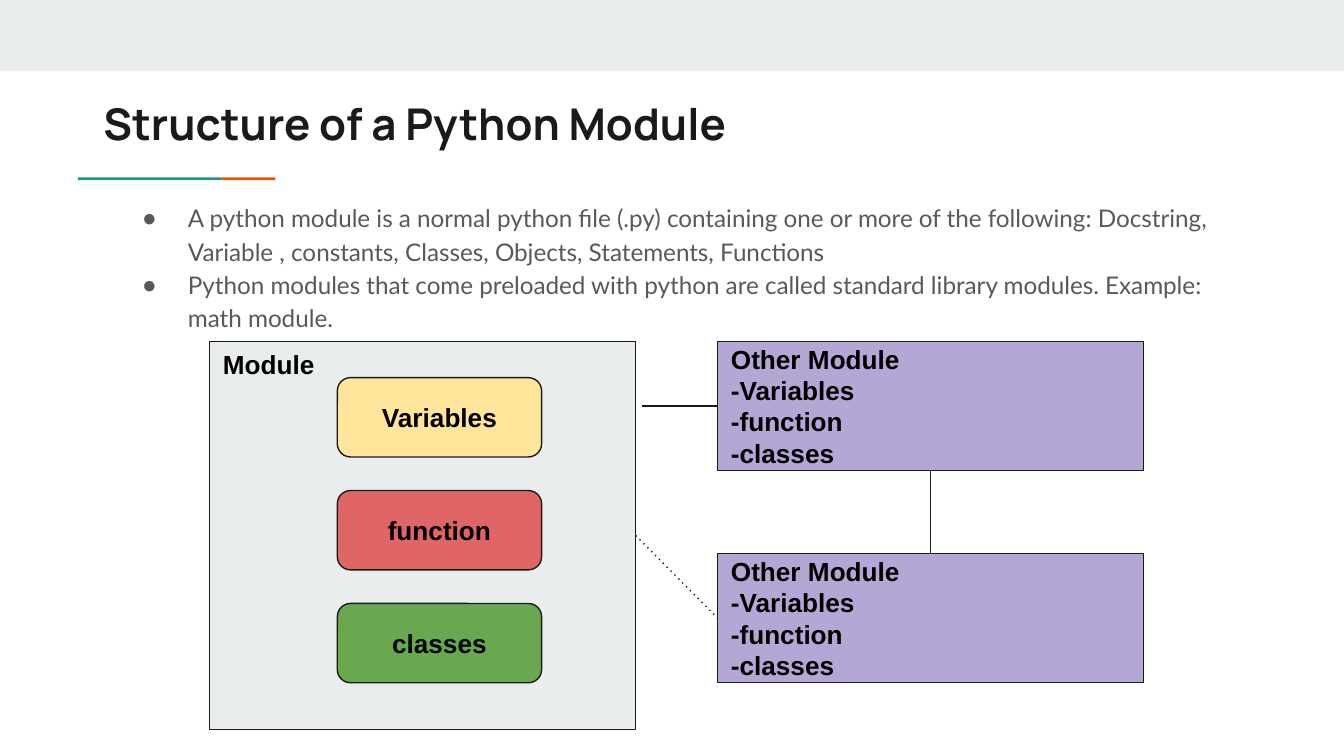
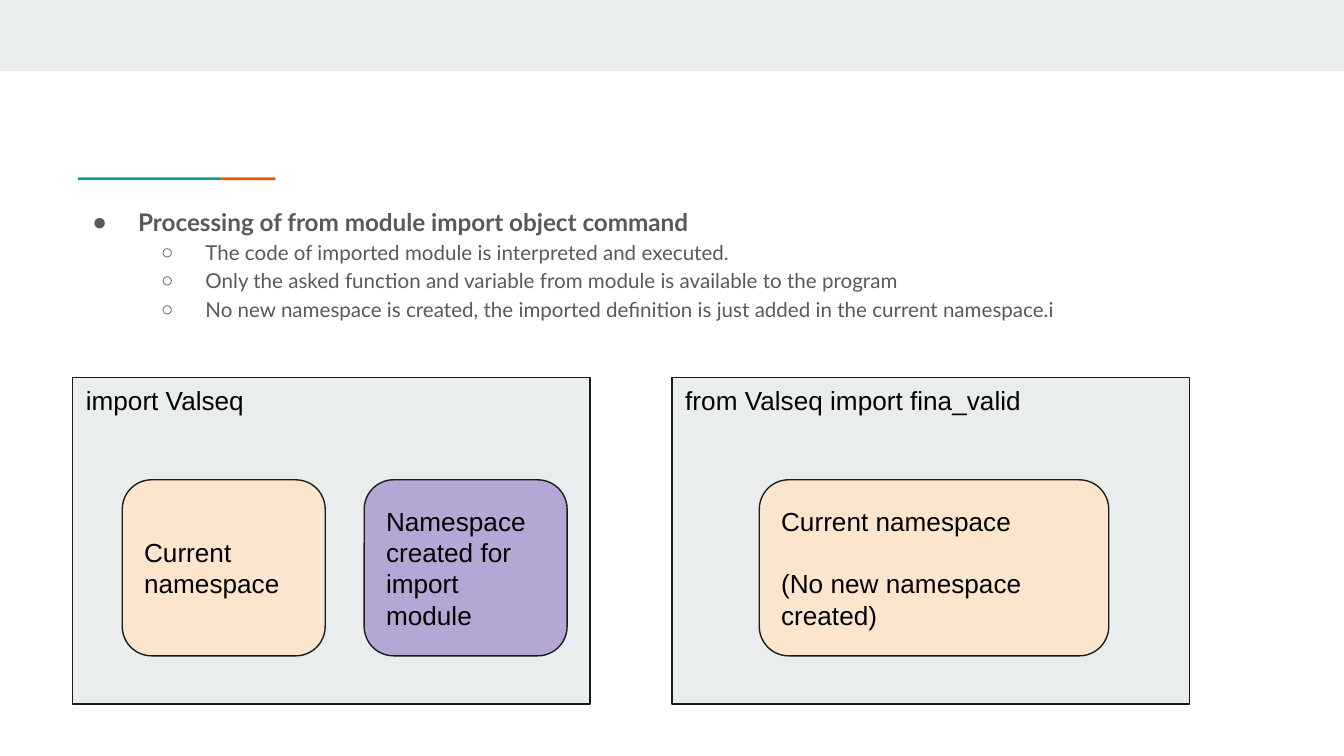
"""Build two slides on Python modules and namespaces."""
from lxml import etree
from pptx import Presentation
from pptx.dml.color import RGBColor
from pptx.enum.dml import MSO_LINE
from pptx.enum.shapes import MSO_CONNECTOR, MSO_SHAPE
from pptx.enum.text import MSO_ANCHOR, PP_ALIGN
from pptx.oxml.ns import qn
from pptx.util import Inches, Pt

RECTANGLE, ROUNDED = MSO_SHAPE.RECTANGLE, MSO_SHAPE.ROUNDED_RECTANGLE
STRAIGHT, DOTTED = MSO_CONNECTOR.STRAIGHT, MSO_LINE.ROUND_DOT
TOP, MIDDLE = MSO_ANCHOR.TOP, MSO_ANCHOR.MIDDLE
LEFT, CENTER = PP_ALIGN.LEFT, PP_ALIGN.CENTER
SIDE_TOP, SIDE_LEFT, SIDE_BOTTOM, SIDE_RIGHT = range(4)

WHITE = RGBColor(0xFF, 0xFF, 0xFF)
BLACK = RGBColor(0x00, 0x00, 0x00)
INK = RGBColor(0x1A, 0x1A, 0x1A)
GRAY = RGBColor(0x59, 0x59, 0x59)
PALE = RGBColor(0xE9, 0xED, 0xEE)
TEAL = RGBColor(0x1A, 0x99, 0x88)
ORANGE = RGBColor(0xEB, 0x56, 0x00)
YELLOW = RGBColor(0xFF, 0xE5, 0x99)
RED = RGBColor(0xE0, 0x66, 0x66)
GREEN = RGBColor(0x6A, 0xA8, 0x4F)
PURPLE = RGBColor(0xB4, 0xA7, 0xD6)
PEACH = RGBColor(0xFC, 0xE5, 0xCD)

WIDTH = 10
HEIGHT = WIDTH * 9 / 16
INSET = 0.1
PANEL_INSET = 0.05
BLANK_LINE = 16.8

TITLE_FORMAT = {"name": "Manrope", "size": Pt(23.4), "bold": True}
LABEL_FORMAT = {"name": "Arial", "size": Pt(14), "bold": False}
STRONG_LABEL = {**LABEL_FORMAT, "bold": True}
POINT = {"name": "Lato", "size": Pt(13), "bold": False}
HEAD_POINT = {**POINT, "bold": True}
SUB_POINT = {**POINT, "size": Pt(11)}
BULLET_FONT = "Arial"
BULLETS = [("●", 0.5, 0.34), ("○", 1, 0.33)]

STRUCTURE_TITLE = "Structure of a Python Module"
STRUCTURE_POINTS = [
    (0, "A python module is a normal python file (.py) containing one or more of the "
        "following: Docstring, Variable , constants, Classes, Objects, Statements, Functions", POINT),
    (0, "Python modules that come preloaded with python are called standard library "
        "modules. Example: math module.", POINT),
]
MODULE_PARTS = [("Variables", YELLOW), ("function", RED), ("classes", GREEN)]
OTHER_MODULE = ["Other Module", "-Variables", "-function", "-classes"]

IMPORT_POINTS = [
    (0, "Processing of from module import object command", HEAD_POINT),
    (1, "The code of imported module is interpreted and executed.", SUB_POINT),
    (1, "Only the asked function and variable from module is available to the program", SUB_POINT),
    (1, "No new namespace is created, the imported definition is just added in the "
        "current namespace.i", SUB_POINT),
]
IMPORT_PANELS = [
    ("import Valseq", [
        (0.37, 1.51, PEACH, ["Current namespace"]),
        (2.17, 1.51, PURPLE, ["Namespace created for import module"])]),
    ("from Valseq import fina_valid", [
        (0.65, 2.6, PEACH, ["Current namespace", "(No new namespace created)"])]),
]


def inches(*lengths):
    return [Inches(length) for length in lengths]


def set_font(paragraph, color, values):
    for run in paragraph.runs:
        for name, value in values.items():
            setattr(run.font, name, value)
        run.font.color.rgb = color


def set_frame(shape, anchor, vertical_inset=INSET):
    frame = shape.text_frame
    values = {"word_wrap": True, "vertical_anchor": anchor,
              "margin_left": Inches(INSET), "margin_right": Inches(INSET),
              "margin_top": Inches(vertical_inset), "margin_bottom": Inches(vertical_inset)}
    for name, value in values.items():
        setattr(frame, name, value)
    return frame


def write_lines(frame, lines, color, values, align=LEFT, gap=0):
    for index, line in enumerate(lines):
        paragraph = frame.add_paragraph() if index else frame.paragraphs[0]
        paragraph.text = line
        paragraph.alignment = align
        paragraph.space_before = Pt(gap if index else 0)
        set_font(paragraph, color, values)


def add_box(slide, kind, box, fill, outlined=True):
    shape = slide.shapes.add_shape(kind, *inches(*box))
    shape.shadow.inherit = False
    shape.fill.solid()
    shape.fill.fore_color.rgb = fill
    if outlined:
        shape.line.color.rgb = INK
        shape.line.width = Pt(0.75)
    else:
        shape.line.fill.background()
    return shape


def add_label_box(slide, kind, box, fill, lines, values, anchor=MIDDLE,
                  align=LEFT, vertical_inset=INSET, gap=0):
    shape = add_box(slide, kind, box, fill)
    write_lines(set_frame(shape, anchor, vertical_inset), lines, BLACK, values, align, gap)
    return shape


def add_title(slide, title):
    shape = slide.shapes.add_textbox(*inches(0.67, 0.62, 8.41, 0.59))
    write_lines(set_frame(shape, MIDDLE), [title], INK, TITLE_FORMAT)


def add_bullets(slide, box, points):
    frame = set_frame(slide.shapes.add_textbox(*inches(*box)), TOP)
    for index, (level, text, values) in enumerate(points):
        paragraph = frame.add_paragraph() if index else frame.paragraphs[0]
        paragraph.text = text
        paragraph.level = level
        paragraph.line_spacing = 1.15
        set_font(paragraph, GRAY, values)
        character, margin, hanging = BULLETS[level]
        properties = paragraph._p.get_or_add_pPr()
        properties.set("marL", str(Inches(margin)))
        properties.set("indent", str(-Inches(hanging)))
        bullet_color = etree.SubElement(properties, qn("a:buClr"))
        etree.SubElement(bullet_color, qn("a:srgbClr"), val=str(GRAY))
        etree.SubElement(properties, qn("a:buFont"), typeface=BULLET_FONT)
        etree.SubElement(properties, qn("a:buChar"), char=character)


def add_line(slide, start, end):
    line = slide.shapes.add_connector(STRAIGHT, *inches(*start, *end))
    line.line.color.rgb = INK
    line.line.width = Pt(0.75)
    etree.SubElement(line._element.spPr, qn("a:effectLst"))
    return line


def add_base(presentation):
    slide = presentation.slides.add_slide(presentation.slide_layouts[6])
    slide.background.fill.solid()
    slide.background.fill.fore_color.rgb = WHITE
    add_box(slide, RECTANGLE, (0, 0, WIDTH, 0.53), PALE, outlined=False)
    for left, width, color in [(0.58, 1.07, TEAL), (1.65, 0.4, ORANGE)]:
        add_box(slide, RECTANGLE, (left, 1.32, width, 0.02), color, outlined=False)
    return slide


def build_structure(presentation):
    slide = add_base(presentation)
    add_title(slide, STRUCTURE_TITLE)
    add_bullets(slide, (0.8, 1.38, 8.41, 4.05), STRUCTURE_POINTS)
    top, width, module_left, other_left = 2.54, 3.17, 1.56, 5.34
    other_height, other_step = 0.96, 1.58
    module = add_label_box(slide, RECTANGLE, (module_left, top, width, 2.89), PALE, ["Module"],
                           STRONG_LABEL, TOP, vertical_inset=PANEL_INSET)
    for row, (name, color) in enumerate(MODULE_PARTS):
        add_label_box(slide, ROUNDED, (2.51, 2.81 + row * 0.84, 1.52, 0.59), color, [name],
                      STRONG_LABEL, align=CENTER)
    upper, lower = [
        add_label_box(slide, RECTANGLE, (other_left, top + row * other_step, width, other_height),
                      PURPLE, OTHER_MODULE, STRONG_LABEL, vertical_inset=0)
        for row in range(2)]

    upper_middle = top + other_height / 2
    link = add_line(slide, (other_left, upper_middle), (4.78, upper_middle))
    link.begin_connect(upper, SIDE_LEFT)
    center = other_left + width / 2
    link = add_line(slide, (center, top + other_step), (center, top + other_height))
    link.begin_connect(lower, SIDE_TOP)
    link.end_connect(upper, SIDE_BOTTOM)
    link = add_line(slide, (module_left + width, 3.99), (other_left, upper_middle + other_step))
    link.begin_connect(module, SIDE_RIGHT)
    link.end_connect(lower, SIDE_LEFT)
    link.line.dash_style = DOTTED
    link._element.spPr.find(".//" + qn("a:prstDash")).set("val", "dot")


def build_import(presentation):
    slide = add_base(presentation)
    add_bullets(slide, (0.43, 1.41, 8.78, 3.98), IMPORT_POINTS)
    for column, (heading, namespaces) in enumerate(IMPORT_PANELS):
        left = 0.54 + column * 4.46
        add_label_box(slide, RECTANGLE, (left, 2.81, 3.85, 2.43), PALE, [heading],
                      LABEL_FORMAT, TOP, vertical_inset=PANEL_INSET)
        for offset, width, color, lines in namespaces:
            add_label_box(slide, ROUNDED, (left + offset, 3.57, width, 1.31), color, lines,
                          LABEL_FORMAT, gap=BLANK_LINE)


def main():
    presentation = Presentation()
    presentation.slide_width, presentation.slide_height = inches(WIDTH, HEIGHT)
    build_structure(presentation)
    build_import(presentation)
    presentation.save("out.pptx")


if __name__ == "__main__":
    main()
